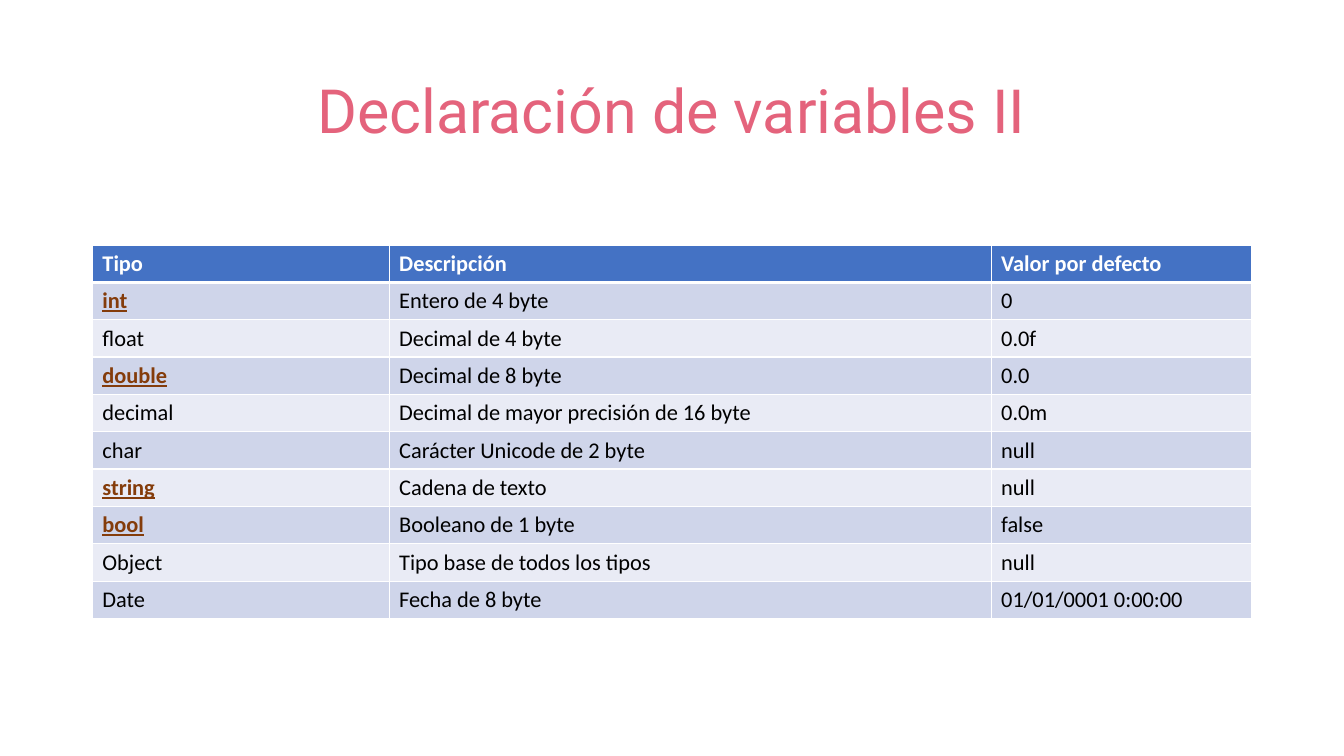
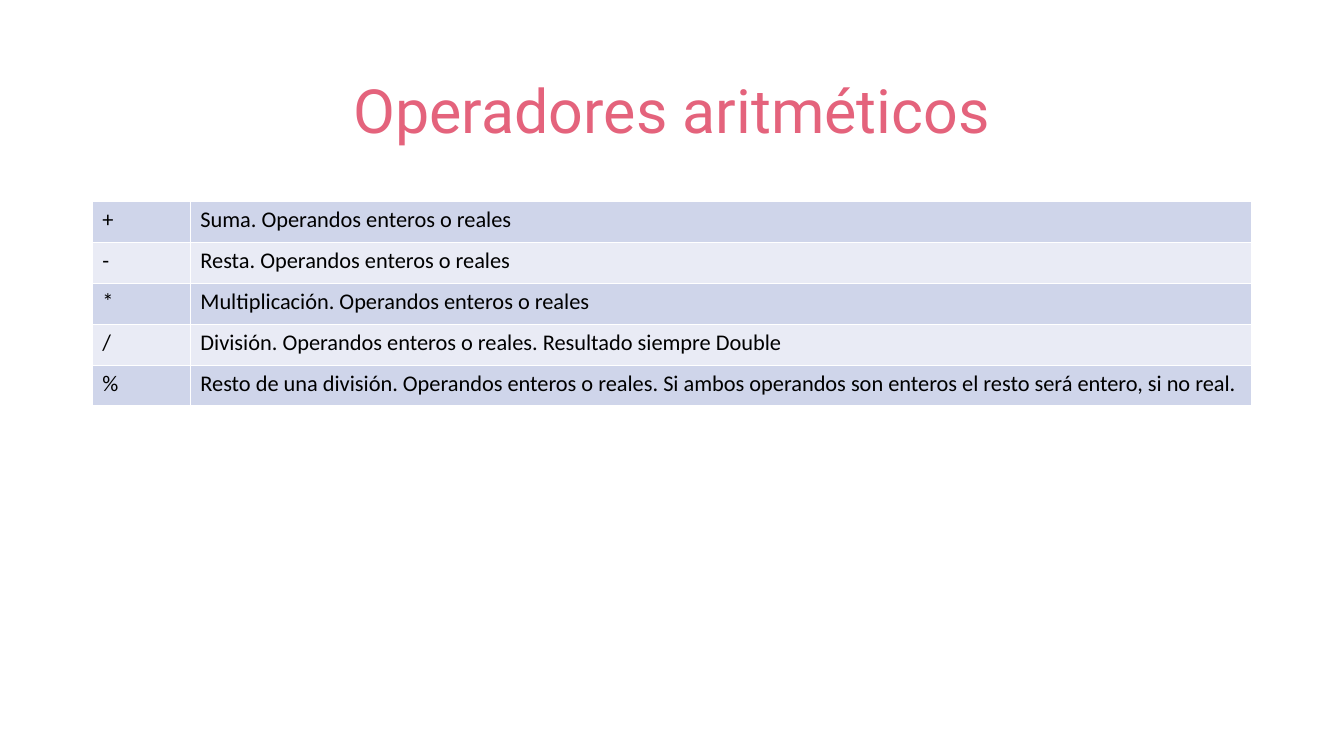
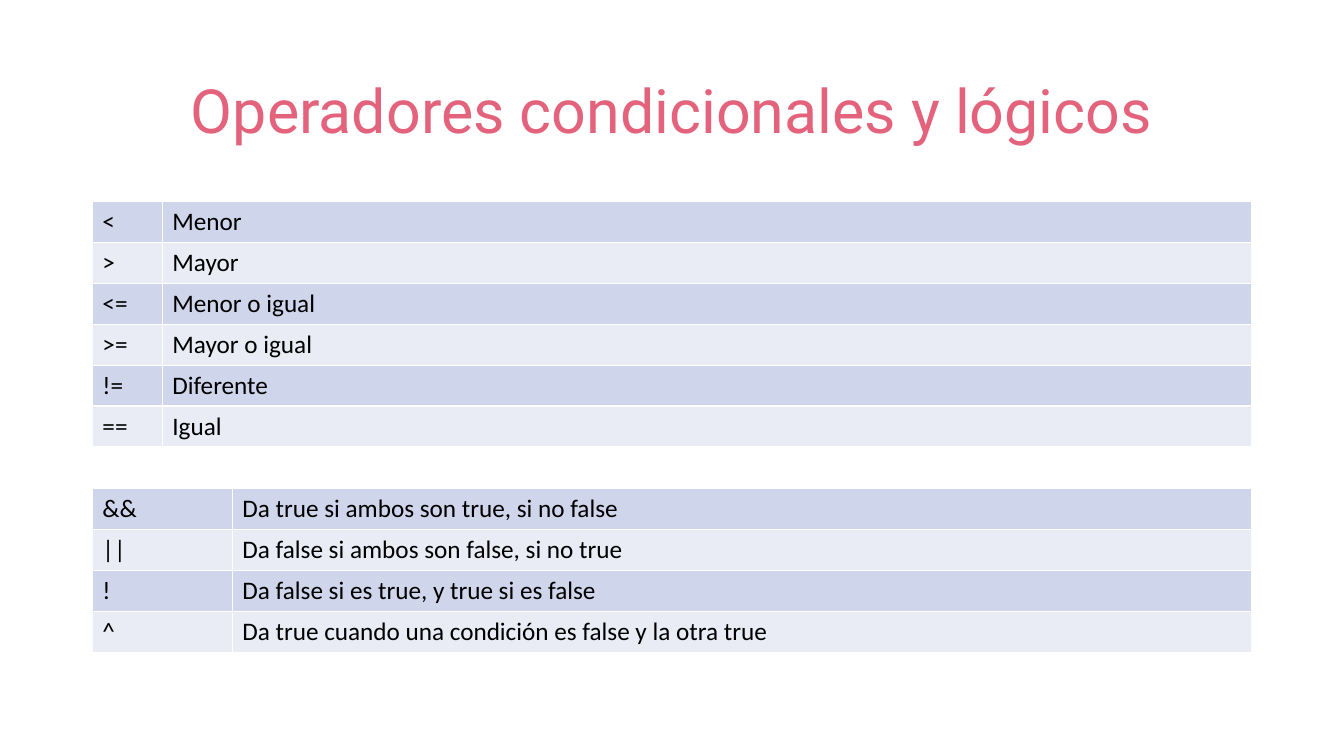
from dataclasses import dataclass

from lxml import etree
from pptx import Presentation
from pptx.dml.color import RGBColor
from pptx.enum import text
from pptx.oxml import ns
from pptx.util import Pt

# Content: title, then tables as top, row height, type size, widths, rows
TYPES = [
    ("Tipo", "Descripción", "Valor por defecto"),
    ("int", "Entero de 4 byte", "0"),
    ("float", "Decimal de 4 byte", "0.0f"),
    ("double", "Decimal de 8 byte", "0.0"),
    ("decimal", "Decimal de mayor precisión de 16 byte", "0.0m"),
    ("char", "Carácter Unicode de 2 byte", "null"),
    ("string", "Cadena de texto", "null"),
    ("bool", "Booleano de 1 byte", "false"),
    ("Object", "Tipo base de todos los tipos", "null"),
    ("Date", "Fecha de 8 byte", "01/01/0001 0:00:00"),
]
KEYS = {"int", "double", "string", "bool"}
MATH = [
    ("+", "Suma. Operandos enteros o reales"),
    ("-", "Resta. Operandos enteros o reales"),
    ("*", "Multiplicación. Operandos enteros o reales"),
    ("/", "División. Operandos enteros o reales. Resultado siempre Double"),
    ("%", "Resto de una división. Operandos enteros o reales. "
          "Si ambos operandos son enteros el resto será entero, si no real."),
]
TESTS = [
    ("<", "Menor"),
    (">", "Mayor"),
    ("<=", "Menor o igual"),
    (">=", "Mayor o igual"),
    ("!=", "Diferente"),
    ("==", "Igual"),
]
LOGIC = [
    ("&&", "Da true si ambos son true, si no false"),
    ("||", "Da false si ambos son false, si no true"),
    ("!", "Da false si es true, y true si es false"),
    ("^", "Da true cuando una condición es false y la otra true"),
]


@dataclass(frozen=True)
class Theme:
    title: str = "E4637C"
    head: str = "4472C4"
    bands: tuple = ("CFD5EA", "E9EBF5")
    key: str = "843C0B"
    ink: str = "000000"
    white: str = "FFFFFF"
    big: float = 43.5
    mid: float = 18
    small: float = 16
    display: str = "Roboto"
    body: str = "Calibri"
    left: float = 66
    width: float = 828


T = Theme()
SLIDES = [
    ("Declaración de variables II",
     [(175, 26.7, T.small, (212, 430, 186), TYPES)]),
    ("Operadores aritméticos",
     [(144, 29.2, T.small, (70, 758), MATH)]),
    ("Operadores condicionales y lógicos",
     [(144, 29.2, T.mid, (50, 778), TESTS),
      (349, 29.2, T.mid, (100, 728), LOGIC)]),
]


# Text and borders
def write(par, words, face, size, hue, strong=False, under=False):
    run = par.add_run()
    run.text = words
    font = run.font
    font.name, font.size = face, Pt(size)
    font.color.rgb = RGBColor.from_string(hue)
    font.bold, font.underline = strong, under


def edge(cell, top, base):
    props = cell._tc.get_or_add_tcPr()
    for side, wide in (("L", 1), ("R", 1), ("T", top), ("B", base)):
        line = etree.SubElement(props, ns.qn(f"a:ln{side}"), w=str(Pt(wide)))
        fill = etree.SubElement(line, ns.qn("a:solidFill"))
        etree.SubElement(fill, ns.qn("a:srgbClr"), val=T.white)


# Slide parts
def add_title(slide, words):
    box = slide.shapes.add_textbox(Pt(T.left), Pt(29), Pt(T.width), Pt(104))
    frame = box.text_frame
    frame.word_wrap = True
    frame.vertical_anchor = text.MSO_ANCHOR.MIDDLE
    par = frame.paragraphs[0]
    par.alignment = text.PP_ALIGN.CENTER
    par.line_spacing = 0.9
    write(par, words, T.display, T.big, T.title)


def add_grid(slide, top, high, size, widths, rows):
    grid = slide.shapes.add_table(
        len(rows), len(widths), Pt(T.left), Pt(top),
        Pt(T.width), Pt(high * len(rows))).table
    headed = rows is TYPES
    grid.first_row = headed
    for col, wide in zip(grid.columns, widths):
        col.width = Pt(wide)
    for r, row in enumerate(rows):
        grid.rows[r].height = Pt(high)
        head = headed and r == 0
        band = T.head if head else T.bands[(r - headed) % 2]
        for c, words in enumerate(row):
            cell = grid.cell(r, c)
            edge(cell, 3 if headed and r == 1 else 1, 3 if head else 1)
            cell.fill.solid()
            cell.fill.fore_color.rgb = RGBColor.from_string(band)
            key = words in KEYS
            hue = T.white if head else T.key if key else T.ink
            write(cell.text_frame.paragraphs[0], words, T.body, size, hue,
                  head or key, key)


def main():
    deck = Presentation()
    deck.slide_width, deck.slide_height = Pt(960), Pt(540)
    for title, grids in SLIDES:
        slide = deck.slides.add_slide(deck.slide_layouts[6])
        add_title(slide, title)
        for grid in grids:
            add_grid(slide, *grid)
    deck.save("out.pptx")


if __name__ == "__main__":
    main()
